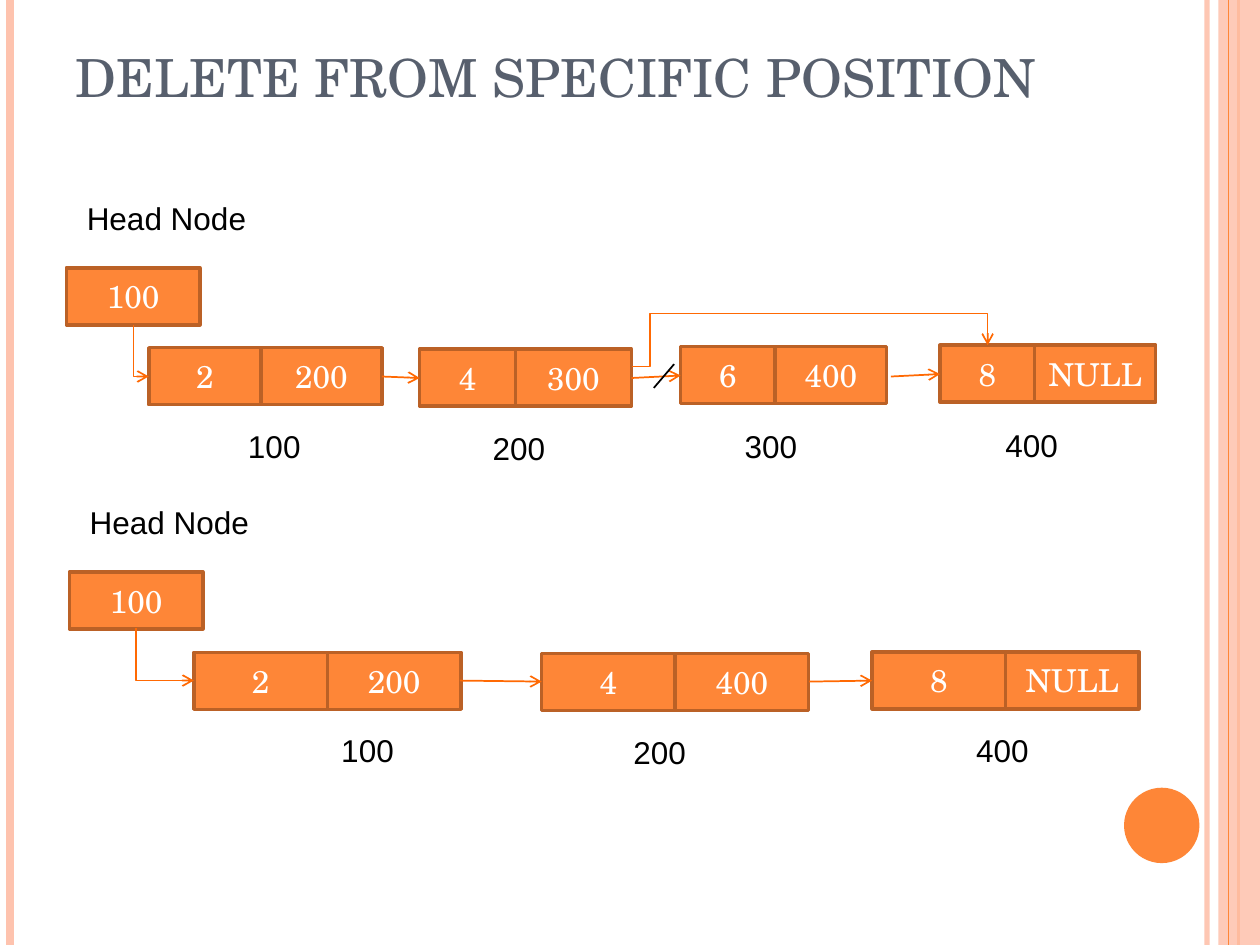
from dataclasses import dataclass
from typing import Any

from lxml import etree
from pptx import Presentation
from pptx import util as u
from pptx.dml import color
from pptx.enum import shapes, text
from pptx.oxml import ns


def paint(value):
    return color.RGBColor.from_string(value)


def add_element(parent, tag, **attributes):
    return etree.SubElement(parent, ns.qn(tag), **attributes)


def fade(fill_owner, percent):
    shade = fill_owner.find(".//" + ns.qn("a:srgbClr"))
    add_element(shade, "a:alpha", val=str(percent * 1000))


@dataclass
class Sketch:
    page: Any
    serif: str = "TeX Gyre Schola"
    sans: str = "Arial"
    orange: str = "FE8637"
    border: str = "BB6126"
    link: str = "FF6903"
    peach: str = "FEC3AE"
    slate: str = "575F6D"
    cell_height: float = 1.15
    cell_width: float = 2.69

    def set_words(self, box, words, font, size, ink, align, anchor):
        frame = box.text_frame
        frame.word_wrap = True
        frame.vertical_anchor = anchor
        para = frame.paragraphs[0]
        para.alignment = align
        span = para.add_run()
        span.text = words
        span.font.name = font
        span.font.size = u.Pt(size)
        span.font.color.rgb = paint(ink)

    def title(self, words, left, top, width, height):
        box = self.page.shapes.title
        box.left, box.top = u.Cm(left), u.Cm(top)
        box.width, box.height = u.Cm(width), u.Cm(height)
        self.set_words(box, words, self.serif, 30, self.slate,
                       text.PP_ALIGN.LEFT, text.MSO_ANCHOR.BOTTOM)

    def label(self, words, left, top, width=2.16):
        box = self.page.shapes.add_textbox(u.Cm(left), u.Cm(top), u.Cm(width), u.Cm(1.02))
        self.set_words(box, words, self.sans, 18, "000000",
                       text.PP_ALIGN.LEFT, text.MSO_ANCHOR.TOP)

    def solid(self, kind, left, top, width, height, fill):
        shape = self.page.shapes.add_shape(
            kind, u.Cm(left), u.Cm(top), u.Cm(width), u.Cm(height))
        shape.shadow.inherit = False
        shape.fill.solid()
        shape.fill.fore_color.rgb = paint(fill)
        shape.line.fill.background()
        return shape

    def cell(self, words, left, top, width):
        box = self.solid(shapes.MSO_SHAPE.RECTANGLE, left, top, width,
                         self.cell_height, self.orange)
        box.line.color.rgb = paint(self.border)
        box.line.width = u.Pt(2)
        self.set_words(box, words, self.serif, 18, "FFFFFF",
                       text.PP_ALIGN.CENTER, text.MSO_ANCHOR.MIDDLE)

    def node(self, left, top, value, pointer, value_width, pointer_width):
        self.cell(value, left, top, value_width)
        self.cell(pointer, left + value_width, top, pointer_width)

    def line(self, x1, y1, x2, y2, ink, width=1, arrow=False,
             kind=shapes.MSO_CONNECTOR.STRAIGHT):
        line = self.page.shapes.add_connector(kind, u.Cm(x1), u.Cm(y1), u.Cm(x2), u.Cm(y2))
        line.line.color.rgb = paint(ink)
        line.line.width = u.Pt(width)
        properties = line._element.spPr
        if arrow:
            add_element(properties.find(ns.qn("a:ln")), "a:tailEnd", type="arrow")
        add_element(properties, "a:effectLst")
        return properties

    def arrow(self, x1, y1, x2, y2):
        self.line(x1, y1, x2, y2, self.link, arrow=True)

    def down_then_right(self, x1, y1, x2, y2):
        middle_x, middle_y = (x1 + x2) / 2, (y1 + y2) / 2
        half_run, half_drop = (x2 - x1) / 2, (y2 - y1) / 2
        properties = self.line(
            middle_x + half_drop, middle_y - half_run,
            middle_x - half_drop, middle_y + half_run,
            self.link, arrow=True, kind=shapes.MSO_CONNECTOR.ELBOW)
        properties.find(ns.qn("a:xfrm")).set("rot", "16200000")
        properties.find(ns.qn("a:prstGeom")).set("prst", "bentConnector2")

    def bypass(self, x1, y1, x2, y2, turn_x, turn_y):
        properties = self.line(x1, y1, x2, y2, self.link, arrow=True,
                               kind=shapes.MSO_CONNECTOR.ELBOW)
        geometry = properties.find(ns.qn("a:prstGeom"))
        geometry.set("prst", "bentConnector4")
        guides = geometry.get_or_add_avLst()
        ratios = ((turn_x - x1) / (x2 - x1), (turn_y - y1) / (y2 - y1))
        for number, ratio in enumerate(ratios, 1):
            add_element(guides, "a:gd", name=f"adj{number}", fmla=f"val {round(ratio * 100000)}")

    def frame(self):
        fade(self.line(24.33, 0, 24.33, 19.05, self.peach, 3), 93)
        self.line(0.2, 0, 0.2, 19.05, self.peach, 4.5)
        self.line(24.97, 0, 24.97, 19.05, self.orange, 1.5)
        band = self.solid(shapes.MSO_SHAPE.RECTANGLE, 24.56, 0, 0.84, 19.05, self.peach)
        fade(band._element.spPr, 87)
        self.line(24.77, 0, 24.77, 19.05, self.orange, 0.75)
        self.solid(shapes.MSO_SHAPE.OVAL, 22.66, 15.88, 1.52, 1.52, self.orange)

    def linked_list(self, head, nodes, addresses, arrows, elbow):
        left, top = head
        self.label("Head Node", left + 0.16, top - 1.51, 3.99)
        self.cell("100", left, top, self.cell_width)
        for node in nodes:
            self.node(*node)
        for address in addresses:
            self.label(*address)
        self.down_then_right(*elbow)
        for arrow in arrows:
            self.arrow(*arrow)


def main():
    deck = Presentation()
    deck.slide_width, deck.slide_height = u.Cm(25.4), u.Cm(19.05)
    sketch = Sketch(deck.slides.add_slide(deck.slide_layouts[5]))
    sketch.frame()
    sketch.title("DELETE FROM SPECIFIC POSITION", 1.27, 0.76, 20.75, 1.55)

    sketch.linked_list(
        head=(1.34, 5.4),
        nodes=[(3, 7.01, "2", "200", 2.26, 2.44),
               (8.46, 7.04, "4", "300", 1.93, 2.34),
               (13.72, 6.99, "6", "400", 1.91, 2.24),
               (18.95, 6.96, "8", "NULL", 1.91, 2.44)],
        addresses=[("100", 4.75, 8.48), ("200", 9.68, 8.53),
                   ("300", 14.76, 8.48), ("400", 20.02, 8.46)],
        arrows=[(7.7, 7.59, 8.46, 7.62), (12.73, 7.62, 13.72, 7.57),
                (17.96, 7.59, 18.95, 7.54)],
        elbow=(2.69, 6.55, 3, 7.59))
    sketch.line(13.59, 7.34, 13.18, 7.82, "000000")
    sketch.bypass(12.75, 7.39, 19.91, 6.96, 13.11, 6.32)

    width = sketch.cell_width
    sketch.linked_list(
        head=(1.4, 11.53),
        nodes=[(3.91, 13.15, "2", "200", width, width),
               (10.92, 13.17, "4", "400", width, width),
               (17.58, 13.14, "8", "NULL", width, width)],
        addresses=[("100", 6.63, 14.61), ("200", 12.52, 14.66), ("400", 19.43, 14.61)],
        arrows=[(9.27, 13.72, 10.92, 13.74), (16.31, 13.74, 17.58, 13.72)],
        elbow=(2.74, 12.67, 3.91, 13.72))
    deck.save("out.pptx")


if __name__ == "__main__":
    main()
